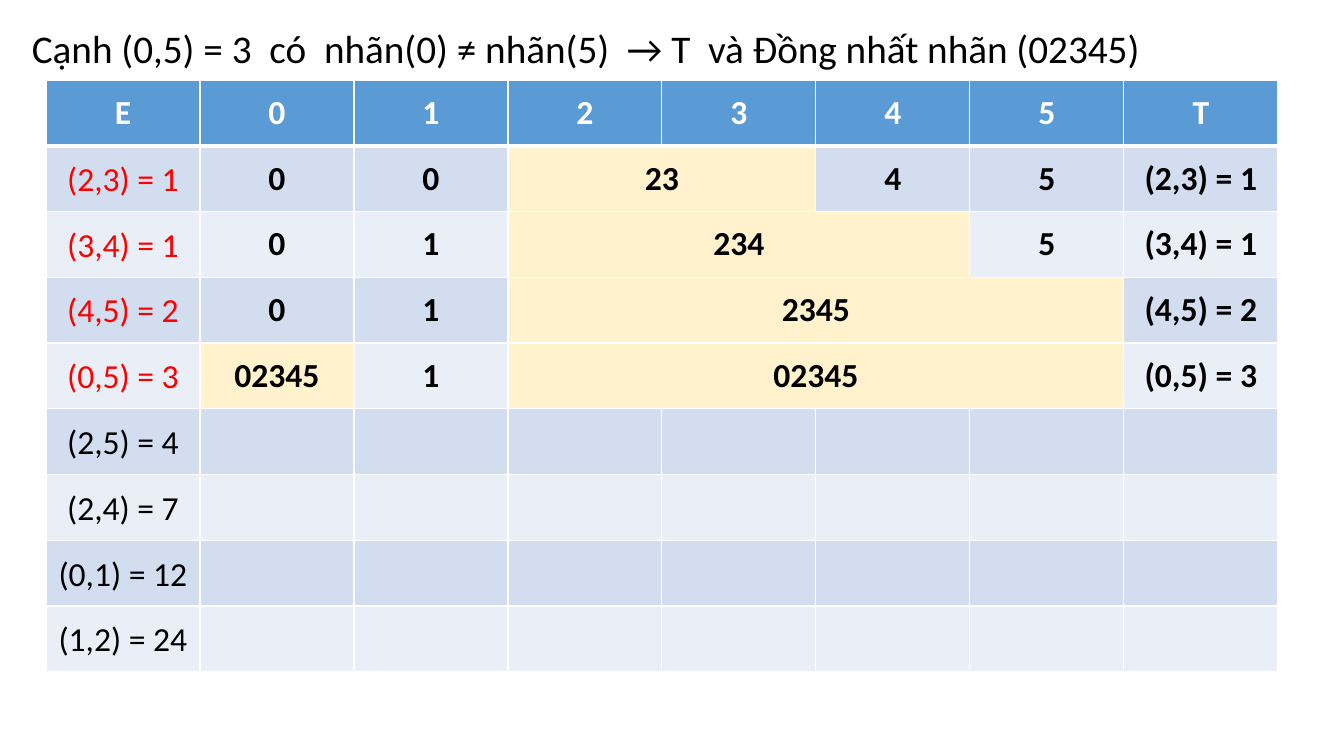
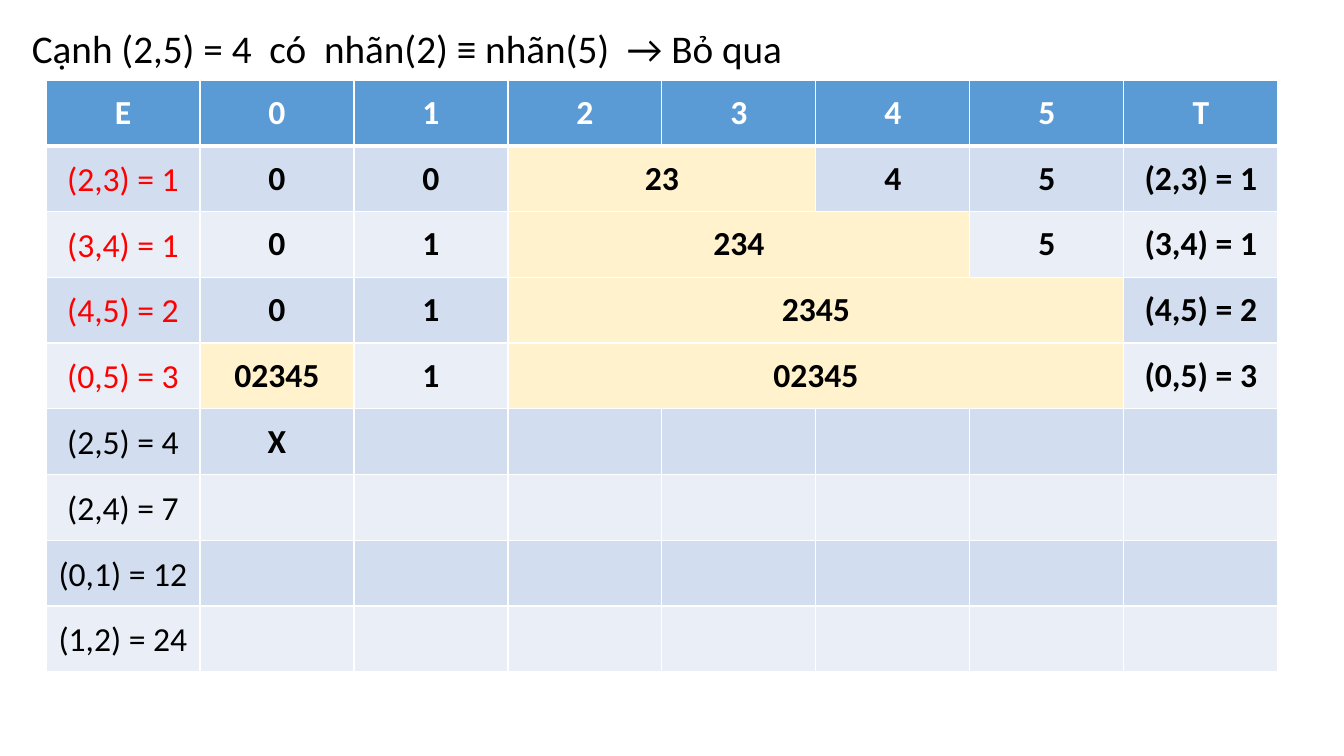
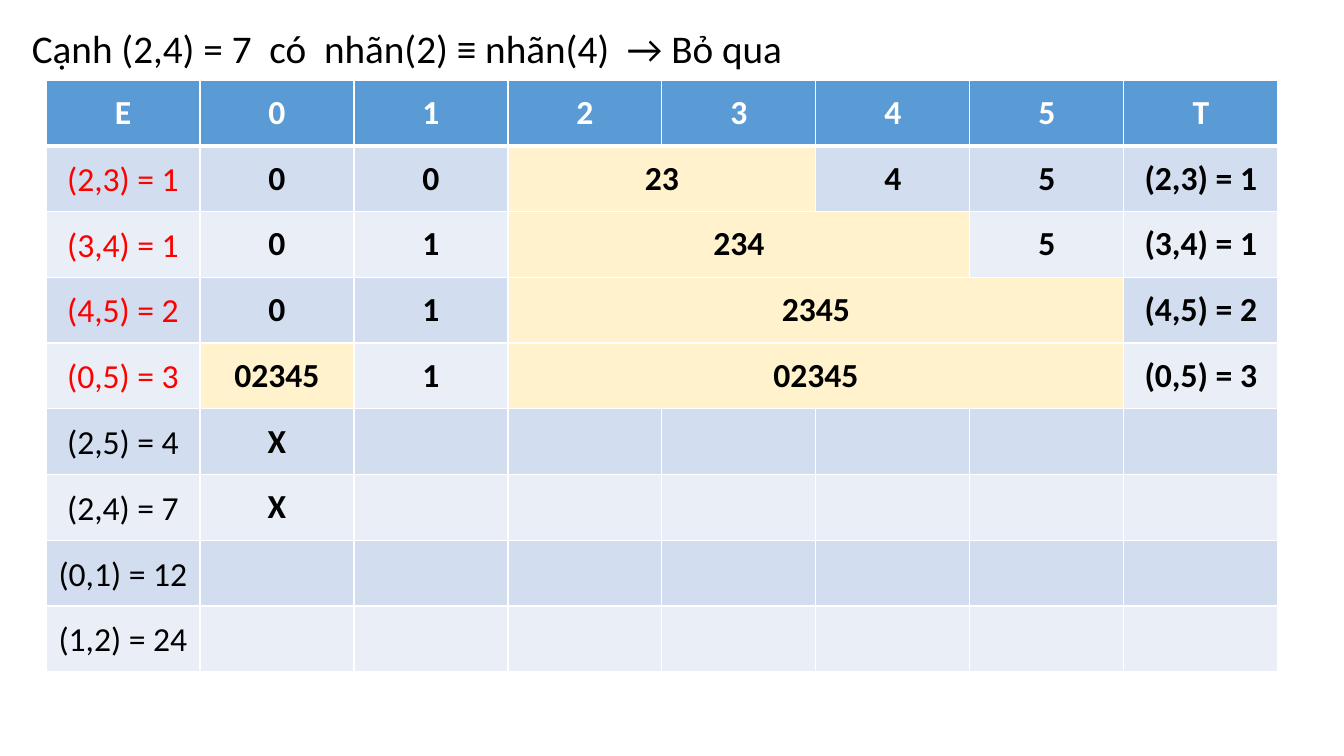
from lxml import etree
from pptx import Presentation
from pptx import util as u
from pptx.dml.color import RGBColor
from pptx.enum import text
from pptx.oxml import ns

PX = 914400 / 100.8
FONT = "Calibri"
WHITE, BLACK, RED = "FFFFFF", "000000", "FF0000"
HEADER, BANDS, MERGED = "5B9BD5", ("EAEFF7", "D2DEEF"), "FFF2CC"

COLUMNS = ["E", "0", "1", "2", "3", "4", "5", "T"]
EDGES = ["(2,3) = 1", "(3,4) = 1", "(4,5) = 2", "(0,5) = 3",
         "(2,5) = 4", "(2,4) = 7", "(0,1) = 12", "(1,2) = 24"]
# Vertex labels after each accepted edge; None continues the cell on its left
LABELS = [
    ["0", "0", "23", None, "4", "5"],
    ["0", "1", "234", None, None, "5"],
    ["0", "1", "2345", None, None, None],
    ["02345", "1", "02345", None, None, None],
]
# Title and number of skipped edges on each slide
STEPS = [
    ("Cạnh (0,5) = 3  có  nhãn(0) ≠ nhãn(5)  → T  và Đồng nhất nhãn (02345)", 0),
    ("Cạnh (2,5) = 4  có  nhãn(2) ≡ nhãn(5)  → Bỏ qua", 1),
    ("Cạnh (2,4) = 7  có  nhãn(2) ≡ nhãn(4)  → Bỏ qua", 2),
]


def px(length):
    return u.Emu(round(length * PX))


def color(value):
    return RGBColor.from_string(value)


class Builder:
    def __init__(self):
        self.deck = Presentation()
        self.deck.slide_width, self.deck.slide_height = px(1344), px(756)
        self.page = None

    def new_page(self):
        self.page = self.deck.slides.add_slide(self.deck.slide_layouts[6])

    def style(self, para, size, ink, bold=False):
        font = para.font
        font.name, font.size, font.bold = FONT, u.Pt(size), bold
        font.color.rgb = color(ink)

    def title(self, words):
        box = self.page.shapes.add_textbox(px(22), px(25), px(1300), px(715))
        box.text_frame.word_wrap = True
        para = box.text_frame.paragraphs[0]
        para.text = words
        para.line_spacing, para.space_before = 0.9, u.Pt(10)
        self.style(para, 28, BLACK)

    def borders(self, cell, top=1, bottom=1):
        props = cell._tc.get_or_add_tcPr()
        for side, width in (("L", 1), ("R", 1), ("T", top), ("B", bottom)):
            line = etree.SubElement(props, ns.qn(f"a:ln{side}"), w=str(u.Pt(width)))
            fill = etree.SubElement(line, ns.qn("a:solidFill"))
            etree.SubElement(fill, ns.qn("a:srgbClr"), val=WHITE)

    def cell(self, cell, words, fill, ink=BLACK, bold=True):
        cell.fill.solid()
        cell.fill.fore_color.rgb = color(fill)
        cell.vertical_anchor = text.MSO_ANCHOR.MIDDLE
        para = cell.text_frame.paragraphs[0]
        para.text = words
        para.alignment = text.PP_ALIGN.CENTER
        self.style(para, 24, ink, bold)

    def edge_cell(self, cell, words, fill, ink):
        self.cell(cell, words, fill, ink, bold=False)
        cell.margin_left = cell.margin_right = px(7)
        cell.margin_top = cell.margin_bottom = 0
        cell.text_frame.paragraphs[0].line_spacing = 1.07

    def label_cells(self, table, row, labels, band):
        for col, label in enumerate(labels, 1):
            if label is None:
                continue
            end = col
            while end < len(labels) and labels[end] is None:
                end += 1
            fill = MERGED if len(label) > 1 else band
            for part in range(col, end + 1):
                self.cell(table.cell(row, part), label if part == col else "", fill)
            if end > col:
                table.cell(row, col).merge(table.cell(row, end))

    def label_table(self, skipped):
        table = self.page.shapes.add_table(
            len(EDGES) + 1, len(COLUMNS), px(46), px(80), px(1232), px(592)).table
        table.first_row = table.horz_banding = False
        for row in range(len(EDGES) + 1):
            for col in range(len(COLUMNS)):
                self.borders(table.cell(row, col), top=3 if row == 1 else 1,
                             bottom=3 if row == 0 else 1)

        # Header row
        for col, name in enumerate(COLUMNS):
            self.cell(table.cell(0, col), name, HEADER, WHITE)

        # One row per edge: accepted, then skipped, then waiting
        for row, edge in enumerate(EDGES, 1):
            band = BANDS[row % 2]
            accepted = row <= len(LABELS)
            if accepted:
                labels = LABELS[row - 1]
            else:
                mark = "X" if row <= len(LABELS) + skipped else ""
                labels = [mark] + [""] * 5
            self.edge_cell(table.cell(row, 0), edge, band, RED if accepted else BLACK)
            self.label_cells(table, row, labels, band)
            self.cell(table.cell(row, 7), edge if accepted else "", band)


def main():
    builder = Builder()
    for words, skipped in STEPS:
        builder.new_page()
        builder.title(words)
        builder.label_table(skipped)
    builder.deck.save("out.pptx")


if __name__ == "__main__":
    main()
